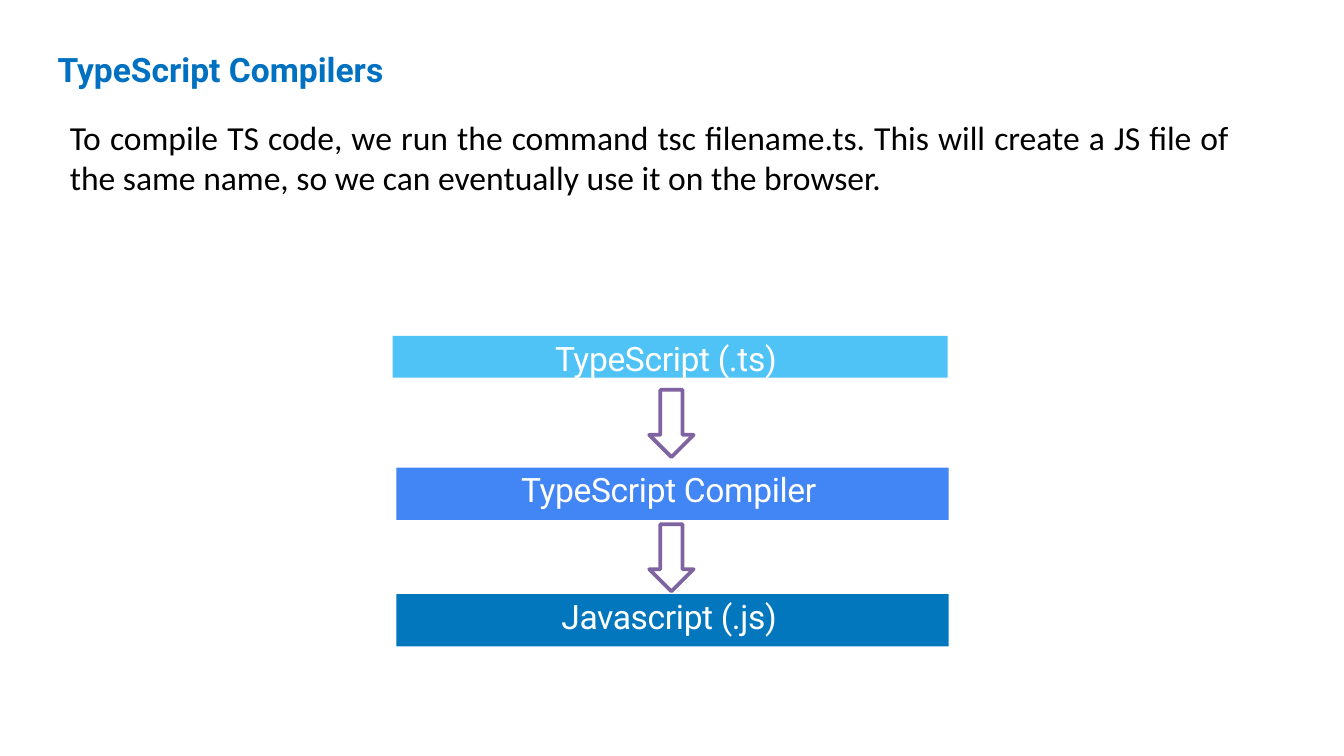
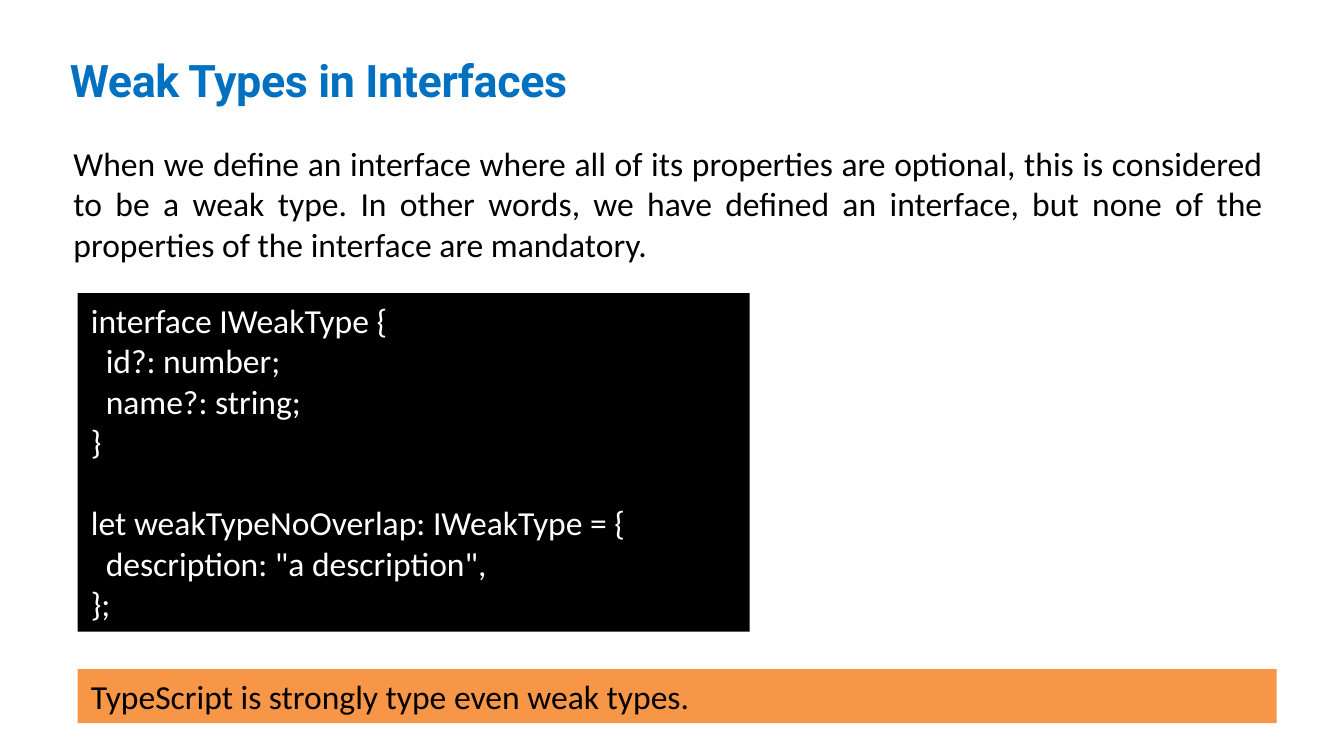
"""Builds two slides on the TypeScript compiler and on weak types."""
from dataclasses import dataclass

from pptx import Presentation
from pptx.dml.color import RGBColor as Rgb
from pptx.enum.shapes import MSO_SHAPE as Shape
from pptx.enum.text import MSO_ANCHOR as Anchor, PP_ALIGN as Align
from pptx.util import Cm, Pt


@dataclass(frozen=True)
class Theme:
    heading: str = "0070C0"
    ink: str = "000000"
    paper: str = "FFFFFF"
    source: str = "4FC3F6"
    compiler: str = "4285F4"
    output: str = "0277BD"
    arrow: str = "8064A2"
    note: str = "F79646"
    heading_font: str = "Roboto"
    body_font: str = "Calibri"
    size: int = 18
    large: int = 24
    blank_line: int = 22


theme = Theme()


def add_block(slide, box, kind=None, fill=None, line=None):
    lengths = [Cm(value) for value in box]
    if kind is None:
        return slide.shapes.add_textbox(*lengths)
    block = slide.shapes.add_shape(kind, *lengths)
    block.shadow.inherit = False
    block.fill.solid()
    block.fill.fore_color.rgb = Rgb.from_string(fill)
    if line:
        block.line.color.rgb = Rgb.from_string(line)
        block.line.width = Pt(2)
    else:
        block.line.fill.background()
    return block


def write(block, text, font=theme.body_font, size=theme.size, color=theme.ink, bold=False,
          align=Align.LEFT, indent=0, spacing=0, insets=(0.25, 0.13), wrap=True):
    frame = block.text_frame
    frame.word_wrap = wrap
    frame.vertical_anchor = Anchor.TOP
    frame.margin_left = frame.margin_right = Cm(insets[0])
    frame.margin_top = frame.margin_bottom = Cm(insets[1])
    frame.text = text
    for paragraph in frame.paragraphs:
        paragraph.alignment = align
        paragraph._p.get_or_add_pPr().set("marL", str(Cm(indent)))
        for run in paragraph.runs:
            run.font.name, run.font.size, run.font.bold = font, Pt(size), bold
            run.font.color.rgb = Rgb.from_string(color)
            run._r.get_or_add_rPr().set("spc", str(spacing))
    return frame


deck = Presentation()
deck.slide_width, deck.slide_height = Cm(25.4), Cm(14.29)
blank = deck.slide_layouts[6]
heading_style = dict(font=theme.heading_font, color=theme.heading, bold=True, wrap=False)

compilers = deck.slides.add_slide(blank)
stages = [
    ("TypeScript (.ts)", (7.42, 6.35, 10.49, 0.79), theme.source, 3.07),
    ("TypeScript Compiler", (7.49, 8.84, 10.44, 0.99), theme.compiler, 2.36),
    ("Javascript (.js)", (7.49, 11.23, 10.44, 0.99), theme.output, 3.12),
]
for label, box, fill, indent in stages:
    write(add_block(compilers, box, Shape.RECTANGLE, fill), label, font=theme.heading_font,
          color=theme.paper, indent=indent, spacing=-20, insets=(0, 0.03))
for top in (7.37, 9.91):
    add_block(compilers, (12.27, top, 0.84, 1.27), Shape.DOWN_ARROW, theme.paper, theme.arrow)
write(add_block(compilers, (0.84, 0.79, 7.09, 1.02)), "TypeScript Compilers", **heading_style)
write(add_block(compilers, (1.07, 2.08, 22.43, 1.8)),
      "To compile TS code, we run the command tsc filename.ts. This will create a JS file of "
      "the same name, so we can eventually use it on the browser.", align=Align.JUSTIFY)

weak_types = deck.slides.add_slide(blank)
write(add_block(weak_types, (1.07, 0.86, 10.49, 1.27)), "Weak Types in Interfaces",
      size=theme.large, spacing=-20, **heading_style)
write(add_block(weak_types, (1.14, 2.57, 22.99, 2.57)),
      "When we define an interface where all of its properties are optional, this is considered "
      "to be a weak type. In other words, we have defined an interface, but none of the "
      "properties of the interface are mandatory.", align=Align.JUSTIFY)

code_lines = [
    ("interface IWeakType {", 0),
    ("id?: number;", 1),
    ("name?: string;", 1),
    ("}", 0),
    ("let weakTypeNoOverlap: IWeakType = {", 0),
    ('description: "a description",', 1),
    ("};", 0),
]
code = write(add_block(weak_types, (1.47, 5.54, 12.7, 6.4), Shape.RECTANGLE, theme.ink),
             "\n".join(text for text, depth in code_lines), color=theme.paper)
for paragraph, (text, depth) in zip(code.paragraphs, code_lines):
    paragraph._p.get_or_add_pPr().set("marL", str(Cm(0.28 * depth)))
    if text.startswith("let"):
        paragraph.space_before = Pt(theme.blank_line)

write(add_block(weak_types, (1.47, 12.65, 22.66, 1.02), Shape.RECTANGLE, theme.note),
      "TypeScript is strongly type even weak types.")

deck.save("out.pptx")
